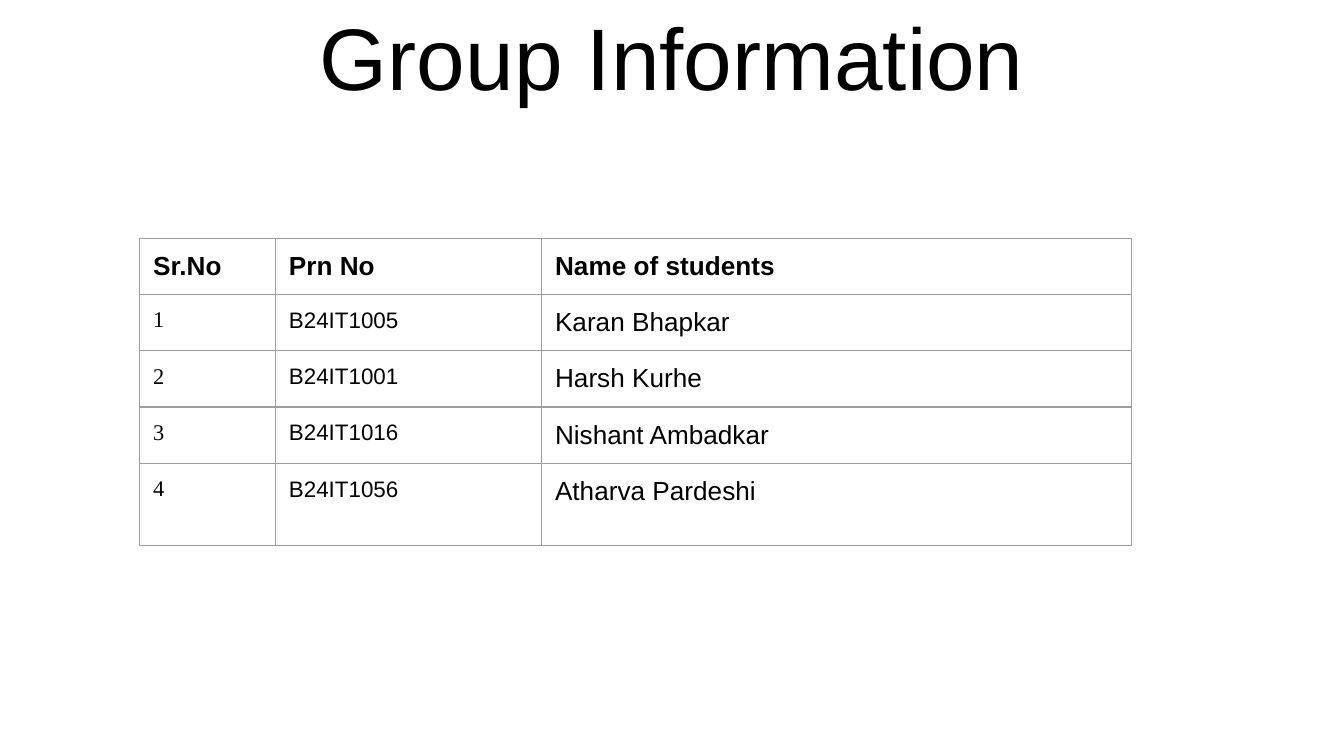
import dataclasses

import lxml.etree
import pptx
import pptx.dml.color
import pptx.enum.text
import pptx.oxml.ns
import pptx.util


@dataclasses.dataclass(frozen=True)
class TextStyle:
    font: str
    size: float
    bold: bool = False


@dataclasses.dataclass(frozen=True)
class Theme:
    ink: str = "000000"
    border: str = "9E9E9E"
    border_width: float = 0.75
    inset: float = 0.1
    title: TextStyle = TextStyle("Arial", 46.8)
    header: TextStyle = TextStyle("Arial", 14, True)
    serial: TextStyle = TextStyle("Times New Roman", 12)
    number: TextStyle = TextStyle("Arial", 12)
    name: TextStyle = TextStyle("Arial", 14)


@dataclasses.dataclass(frozen=True)
class Student:
    number: str
    name: str


THEME = Theme()
SLIDE_WIDTH = 10
SLIDE_HEIGHT = SLIDE_WIDTH * 9 / 16
COLUMN_WIDTHS = (1.01, 1.98, 4.39)
ROW_HEIGHT, LAST_ROW_HEIGHT = 0.4, 0.61
HEADERS = ("Sr.No", "Prn No", "Name of students")
STUDENTS = (
    Student("B24IT1005", "Karan Bhapkar"),
    Student("B24IT1001", "Harsh Kurhe"),
    Student("B24IT1016", "Nishant Ambadkar"),
    Student("B24IT1056", "Atharva Pardeshi"),
)


def format_runs(text_frame, style: TextStyle) -> None:
    for paragraph in text_frame.paragraphs:
        for run in paragraph.runs:
            run.font.name = style.font
            run.font.size = pptx.util.Pt(style.size)
            run.font.bold = style.bold
            run.font.color.rgb = pptx.dml.color.RGBColor.from_string(THEME.ink)


def set_insets(target) -> None:
    for side in ("left", "top", "right", "bottom"):
        setattr(target, f"margin_{side}", pptx.util.Inches(THEME.inset))


def set_borders(cell) -> None:
    properties = cell._tc.get_or_add_tcPr()
    qualified = pptx.oxml.ns.qn
    for position, tag in enumerate(("a:lnL", "a:lnR", "a:lnT", "a:lnB")):
        line = lxml.etree.Element(
            qualified(tag), w=str(pptx.util.Pt(THEME.border_width)))
        fill = lxml.etree.SubElement(line, qualified("a:solidFill"))
        lxml.etree.SubElement(fill, qualified("a:srgbClr"), val=THEME.border)
        properties.insert(position, line)


def draw_title(slide, text: str) -> None:
    title = slide.shapes.title
    title.left, title.width = (
        pptx.util.Inches(SLIDE_WIDTH * share) for share in (0.034, 0.932))
    title.top, title.height = (
        pptx.util.Inches(SLIDE_HEIGHT * share) for share in (0.03, 0.13))
    text_frame = title.text_frame
    text_frame.text = text
    text_frame.word_wrap = True
    text_frame.auto_size = pptx.enum.text.MSO_AUTO_SIZE.NONE
    text_frame.vertical_anchor = pptx.enum.text.MSO_ANCHOR.BOTTOM
    text_frame.paragraphs[0].alignment = pptx.enum.text.PP_ALIGN.CENTER
    set_insets(text_frame)
    format_runs(text_frame, THEME.title)


def draw_cell(cell, text: str, style: TextStyle) -> None:
    cell.text_frame.text = text
    cell.fill.background()
    set_insets(cell)
    set_borders(cell)
    format_runs(cell.text_frame, style)


def draw_students(slide, students: tuple[Student, ...]) -> None:
    row_heights = [ROW_HEIGHT] * len(students) + [LAST_ROW_HEIGHT]
    table = slide.shapes.add_table(
        len(row_heights), len(COLUMN_WIDTHS),
        pptx.util.Inches(SLIDE_WIDTH * 0.104),
        pptx.util.Inches(SLIDE_HEIGHT * 0.315),
        pptx.util.Inches(sum(COLUMN_WIDTHS)),
        pptx.util.Inches(sum(row_heights))).table
    table.horz_banding = False
    for column, width in zip(table.columns, COLUMN_WIDTHS):
        column.width = pptx.util.Inches(width)
    for row, height in zip(table.rows, row_heights):
        row.height = pptx.util.Inches(height)

    # Header row, then one row per student
    for column, header in enumerate(HEADERS):
        draw_cell(table.cell(0, column), header, THEME.header)
    styles = (THEME.serial, THEME.number, THEME.name)
    for serial, student in enumerate(students, start=1):
        values = (str(serial), student.number, student.name)
        for column, (value, style) in enumerate(zip(values, styles)):
            draw_cell(table.cell(serial, column), value, style)


def main() -> None:
    presentation = pptx.Presentation()
    presentation.slide_width = pptx.util.Inches(SLIDE_WIDTH)
    presentation.slide_height = pptx.util.Inches(SLIDE_HEIGHT)
    title_only = presentation.slide_layouts[5]
    slide = presentation.slides.add_slide(title_only)
    draw_title(slide, "Group Information")
    draw_students(slide, STUDENTS)
    presentation.save("out.pptx")


if __name__ == "__main__":
    main()
